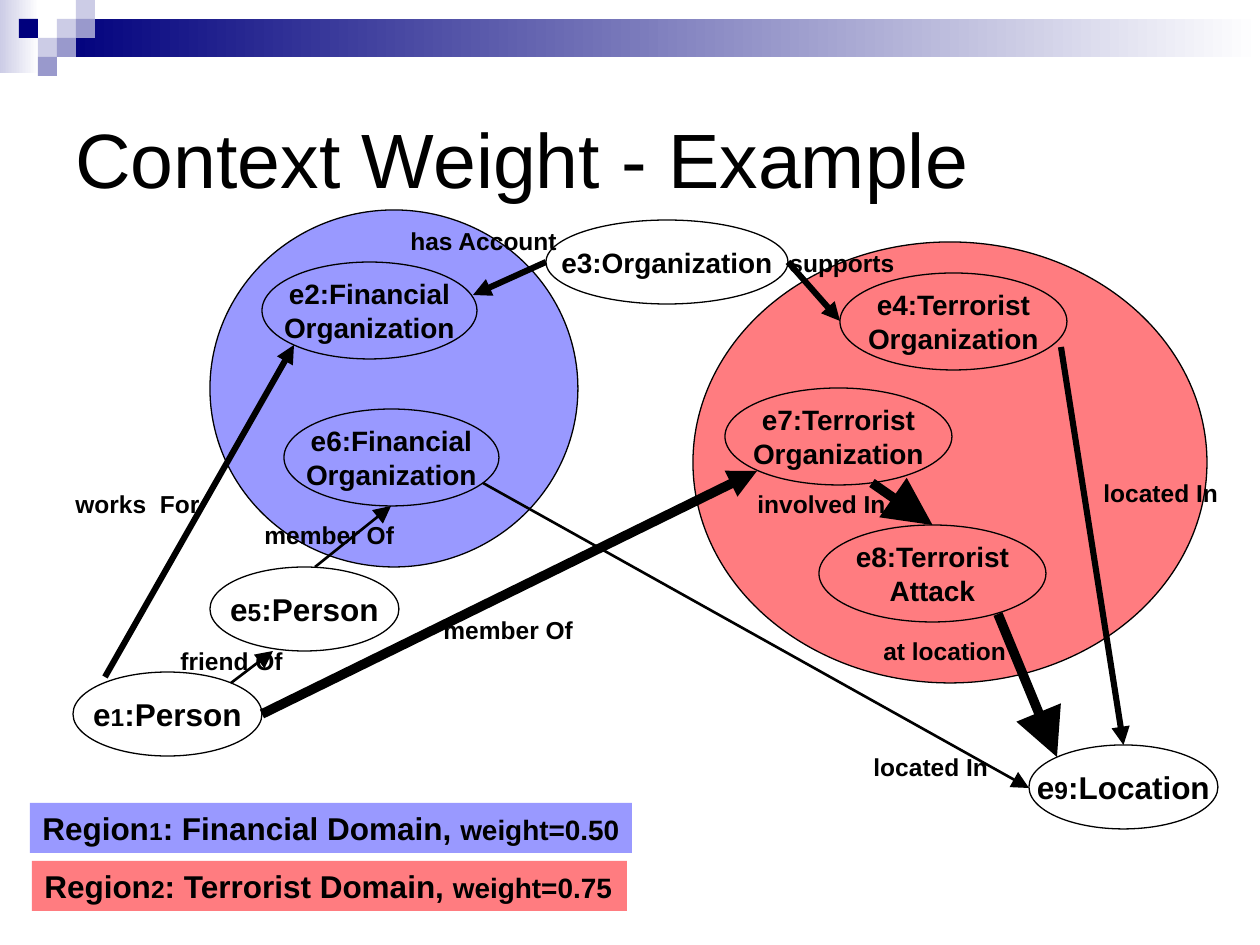
import pptx
import pptx.util
import pptx.dml.color
import pptx.enum.shapes
import pptx.enum.text
import pptx.oxml
import pptx.oxml.ns
from dataclasses import dataclass

SCALE = 914400 / 126  # EMU in one px
SHAPE = pptx.enum.shapes.MSO_SHAPE
ANCHOR = pptx.enum.text.MSO_ANCHOR
ALIGN = pptx.enum.text.PP_ALIGN
FIT = pptx.enum.text.MSO_AUTO_SIZE


@dataclass(frozen=True)
class Theme:
    font: str = "Arial"
    ink: str = "000000"
    white: str = "FFFFFF"
    financial: str = "9999FF"
    terrorist: str = "FF7C80"
    navy: str = "00007D"
    mid: str = "9999CC"
    pale: str = "CCCCE6"
    title: int = 44
    large: int = 18
    node: int = 16
    small: int = 14
    outline: float = 0.75
    thin: float = 1.5
    medium: float = 3.5
    thick: float = 5.5


THEME = Theme()


def px(length):
    return pptx.util.Emu(round(length * SCALE))


def rgb(value):
    return pptx.dml.color.RGBColor.from_string(value)


def set_values(target, values):
    for name, value in values.items():
        setattr(target, name, value)


def write(shape, lines, bold=True, wrap=False, align=ALIGN.LEFT, anchor=ANCHOR.TOP,
          fit=FIT.NONE):
    """Write lines, each a list of (text, size) spans."""
    frame = shape.text_frame
    set_values(frame, {
        "word_wrap": wrap, "vertical_anchor": anchor, "auto_size": fit,
        "margin_left": pptx.util.Inches(0.1), "margin_right": pptx.util.Inches(0.1),
        "margin_top": pptx.util.Inches(0.05), "margin_bottom": pptx.util.Inches(0.05)})
    for number, line in enumerate(lines):
        para = frame.add_paragraph() if number else frame.paragraphs[0]
        para.alignment = align
        for text, size in line:
            span = para.add_run()
            span.text = text
            set_values(span.font, {"name": THEME.font, "size": pptx.util.Pt(size), "bold": bold})
            span.font.color.rgb = rgb(THEME.ink)


def add_shape(page, kind, bounds, fill=None, outlined=False):
    shape = page.shapes.add_shape(kind, *map(px, bounds))
    shape.shadow.inherit = False
    if fill:
        shape.fill.solid()
        shape.fill.fore_color.rgb = rgb(fill)
    else:
        shape.fill.background()
    if outlined:
        shape.line.color.rgb = rgb(THEME.ink)
        shape.line.width = pptx.util.Pt(THEME.outline)
    else:
        shape.line.fill.background()
    return shape


def add_fade(page, bounds, color):
    """Bar that fades to white toward the right."""
    bar = add_shape(page, SHAPE.RECTANGLE, bounds)
    bar.fill.gradient()
    bar.fill.gradient_angle = 0
    for stop, value in zip(bar.fill.gradient_stops, (color, THEME.white)):
        stop.color.rgb = rgb(value)


def add_text(page, bounds, lines, **format_values):
    box = page.shapes.add_textbox(*map(px, bounds))
    write(box, lines, **format_values)


def add_node(page, bounds, lines, fill=None):
    node = add_shape(page, SHAPE.OVAL, bounds, fill, outlined=True)
    write(node, lines, align=ALIGN.CENTER, anchor=ANCHOR.MIDDLE)
    return node


def add_arrow(page, start, end, weight, head, top_of=None):
    arrow = page.shapes.add_connector(
        pptx.enum.shapes.MSO_CONNECTOR.STRAIGHT, *map(px, start + end))
    if top_of is not None:
        arrow.end_connect(top_of, 0)
    arrow.line.color.rgb = rgb(THEME.ink)
    arrow.line.width = pptx.util.Pt(weight)
    namespace = pptx.oxml.ns.nsdecls("a")
    outline = arrow._element.spPr.find(pptx.oxml.ns.qn("a:ln"))
    outline.append(pptx.oxml.parse_xml(
        f'<a:tailEnd {namespace} type="triangle" w="{head}" len="{head}"/>'))
    arrow._element.spPr.append(pptx.oxml.parse_xml(f"<a:effectLst {namespace}/>"))


def add_header(page):
    add_fade(page, (0, 0, 39, 73), THEME.pale)
    add_fade(page, (57, 19, 1203, 38), THEME.navy)
    unit = 19
    checks = [(3, 1, THEME.pale), (4, 0, THEME.pale), (4, 1, THEME.mid), (2, 2, THEME.pale),
              (1, 1, THEME.navy), (3, 2, THEME.mid), (2, 3, THEME.mid)]
    for column, row, color in checks:
        add_shape(page, SHAPE.RECTANGLE, (column * unit, row * unit, unit, unit), color)


def add_legend(page):
    rows = [((30, 803, 602, 50), THEME.financial, "1", ": Financial Domain, ", "weight=0.50"),
            ((32, 861, 595, 50), THEME.terrorist, "2", ": Terrorist Domain, ", "weight=0.75")]
    for bounds, color, number, domain, weight in rows:
        box = add_shape(page, SHAPE.RECTANGLE, bounds, color)
        write(box, [[("Region", THEME.large), (number, THEME.small),
                     (domain, THEME.large), (weight, THEME.node)]])


def add_entities(page):
    """Draw the regions and their entities; return the nodes by number."""
    regions = [
        ((693, 242, 514, 441), THEME.terrorist, 227,
         [(7, 725, 388, "Terrorist", "Organization"), (4, 840, 273, "Terrorist", "Organization"),
          (8, 819, 525, "Terrorist", "Attack")]),
        ((210, 210, 368, 357), THEME.financial, 215,
         [(6, 284, 409, "Financial", "Organization"), (2, 262, 262, "Financial", "Organization")])]
    nodes = {}
    for bounds, color, width, members in regions:
        add_shape(page, SHAPE.OVAL, bounds, color, outlined=True)
        for number, left, top, first, second in members:
            lines = [[(f"e{number}:{first}", THEME.node)], [(second, THEME.node)]]
            nodes[number] = add_node(page, (left, top, width, 97), lines, color)
    for number, left, top, name in [(1, 73, 672, "Person"), (9, 1029, 745, "Location"),
                                    (5, 210, 567, "Person")]:
        line = [("e", THEME.large), (str(number), THEME.small), (f":{name}", THEME.large)]
        nodes[number] = add_node(page, (left, top, 189, 84), [line])
    nodes[3] = add_node(page, (546, 220, 242, 84), [[("e3:Organization", THEME.node)]])
    return nodes


def add_relations(page, nodes):
    arrows = [
        ((315, 567), (391, 506), THEME.thin, "lg", None),
        ((483, 483), (1029, 788), THEME.thin, "lg", None),
        ((231, 683), (273, 651), THEME.thin, "lg", None),
        ((105, 677), (294, 345), THEME.medium, "med", None),
        ((546, 262), (473, 295), THEME.medium, "med", None),
        ((788, 262), (840, 321), THEME.medium, "med", None),
        ((1061, 347), (1124, 746), THEME.medium, "med", 9),
        ((262, 714), (757, 471), THEME.thick, "med", None),
        ((872, 483), (932, 525), THEME.thick, "lg", 8),
        ((998, 614), (1057, 757), THEME.thick, "lg", None)]
    for start, end, weight, head, target in arrows:
        add_arrow(page, start, end, weight, head, nodes.get(target))
    labels = [
        ("friend Of", 168, 640, 130), ("member Of", 252, 514, 157),
        ("located In", 861, 746, 142), ("supports", 777, 242, 132),
        ("has Account", 398, 220, 175), ("located In", 1091, 472, 142),
        ("works  For", 63, 483, 151), ("member Of", 431, 609, 157),
        ("involved In", 745, 483, 156), ("at location", 871, 630, 150)]
    for text, left, top, width in labels:
        add_text(page, (left, top, width, 43), [[(text, THEME.small)]],
                 fit=FIT.SHAPE_TO_FIT_TEXT)


def main():
    deck = pptx.Presentation()
    set_values(deck, {"slide_width": px(1260), "slide_height": px(945)})
    page = deck.slides.add_slide(deck.slide_layouts[6])
    add_header(page)
    add_text(page, (63, 63, 1134, 189), [[("Context Weight - Example", THEME.title)]],
             bold=False, wrap=True, anchor=ANCHOR.MIDDLE)
    add_legend(page)
    nodes = add_entities(page)
    add_relations(page, nodes)
    deck.save("out.pptx")


if __name__ == "__main__":
    main()
